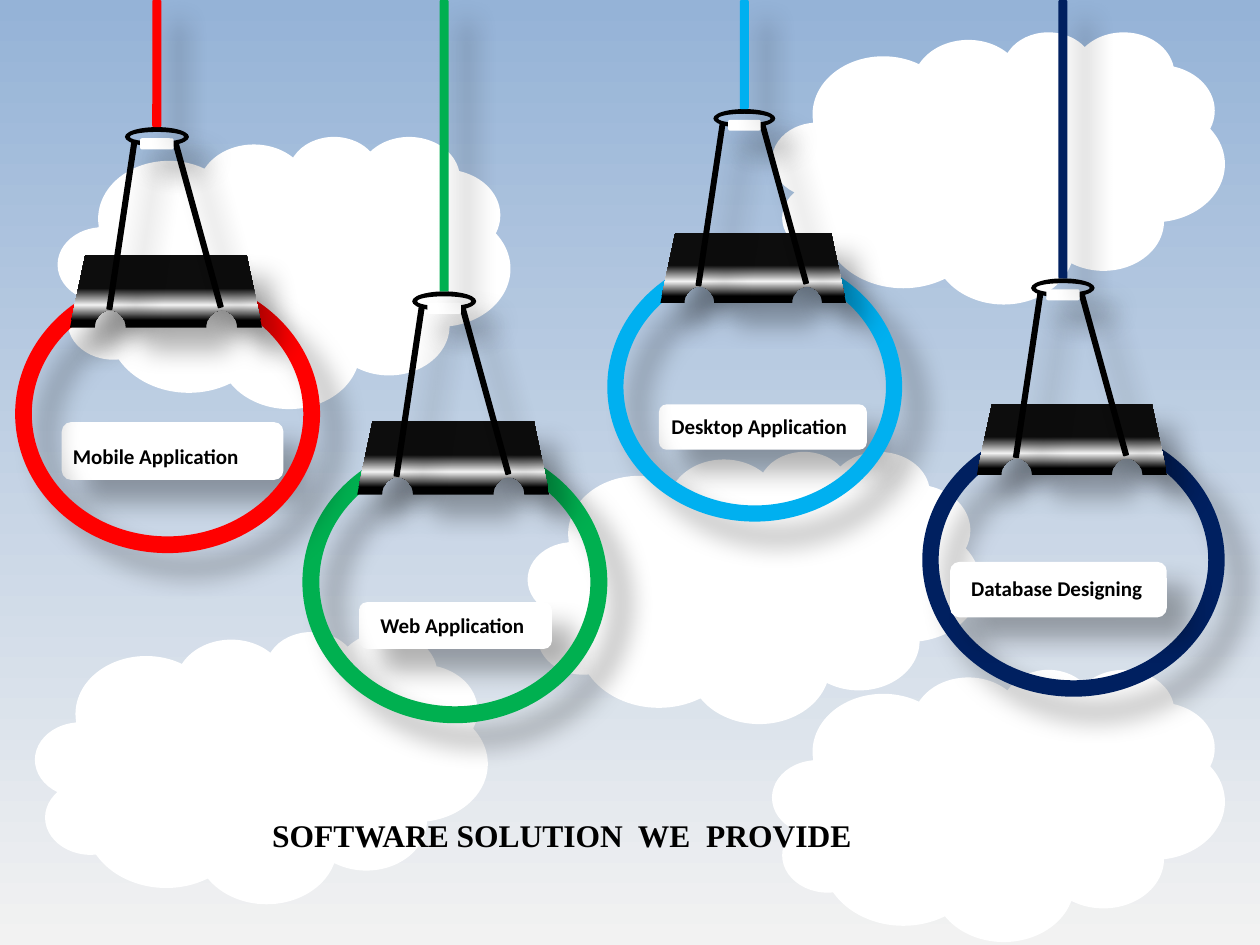
import math

import lxml.etree
import pptx
import pptx.dml.color
import pptx.enum.shapes
import pptx.enum.text
import pptx.oxml.ns
import pptx.util

SHAPE = pptx.enum.shapes.MSO_SHAPE
WIDTH, HEIGHT = pptx.util.Inches(10), pptx.util.Inches(7.5)
COLS, ROWS = 100, 75
COLORS = {
    "white": "FFFFFF", "black": "000000", "soot": "0D0D0D", "mist": "F2F2F2",
    "sky": "95B3D7", "red": "FF0000", "green": "00B050", "blue": "00B0F0",
    "navy": "002060",
}
CLOUD_SIZE = (35.9, 21.6)
CLOUDS = [(4.6, 10.8), (61.3, 2.5), (41.9, 35.8), (2.8, 50.1), (61.3, 53.1)]
HANGERS = [
    {"text": "Web Application", "color": "green", "ring": (24, 35, 24.2, 22.4),
     "plate": (28.5, 47.8, 15.3, 3.7), "label": (29.2, 48.1, 17.1, 5)},
    {"text": "Desktop Application", "color": "blue", "ring": (48.2, 20, 23.4, 21.4),
     "plate": (52.3, 32.1, 16.5, 3.6), "label": (52.3, 32.3, 22.9, 4.8)},
    {"text": "Database Designing", "color": "navy", "ring": (73.2, 33.6, 24, 21.7),
     "plate": (75.4, 44.6, 17.2, 4.4), "label": (76.1, 45.2, 24.9, 4.8),
     "plate_in_front": True},
    {"text": "Mobile Application", "color": "red", "ring": (1.2, 21.8, 24.2, 22.1),
     "plate": (4.9, 33.5, 17.6, 4.6), "label": (4.8, 34.7, 21.6, 5.9)},
]


def place(box):
    """Turn a box in grid columns and rows into slide lengths."""
    x, y, w, h = box
    return [int(v) for v in (x * WIDTH / COLS, y * HEIGHT / ROWS,
                             w * WIDTH / COLS, h * HEIGHT / ROWS)]


def within(ring, x, y, w, h):
    """Give the box at shares of a ring's size."""
    left, top, width, height = ring
    return left + x * width, top + y * height, w * width, h * height


def rgb(name):
    """Look up a named colour."""
    return pptx.dml.color.RGBColor.from_string(COLORS[name])


def add_xml(parent, tag, **attributes):
    """Append a child element with attributes."""
    child = lxml.etree.SubElement(parent, pptx.oxml.ns.qn(tag))
    for key, value in attributes.items():
        child.set(key, str(value))
    return child


def set_gradient(fill, element, stops):
    """Fill with colour stops running from bottom to top."""
    fill.gradient()
    fill.gradient_angle = 90
    stop_list = next(element.iter(pptx.oxml.ns.qn("a:gsLst")))
    for stop in list(stop_list):
        stop_list.remove(stop)
    for share, name in stops:
        stop = add_xml(stop_list, "a:gs", pos=share * 1000)
        add_xml(stop, "a:srgbClr", val=COLORS[name])


def add_shadow(sp):
    """Cast a soft shadow to the lower right."""
    sp.shadow.inherit = False
    effects = next(sp.element.iter(pptx.oxml.ns.qn("a:effectLst")))
    shadow = add_xml(effects, "a:outerShdw", blurRad=pptx.util.Pt(15),
                     dist=pptx.util.Pt(18), dir=45 * 60000, algn="ctr",
                     rotWithShape=0)
    color = add_xml(shadow, "a:srgbClr", val=COLORS["black"])
    add_xml(color, "a:alpha", val=30000)


def add_shape(shapes, kind, box, color, rotation=0, adjust=None, shadow=True):
    """Add a plain filled preset shape."""
    sp = shapes.add_shape(kind, *place(box))
    sp.fill.solid()
    sp.fill.fore_color.rgb = rgb(color)
    sp.line.fill.background()
    sp.rotation = rotation
    if adjust is not None:
        sp.adjustments[0] = adjust
    if shadow:
        add_shadow(sp)
    else:
        sp.shadow.inherit = False
    return sp


def write_text(sp, text, size=12, font="Calibri", color="black", wrap=True):
    """Write one bold left-aligned line into a shape."""
    tf = sp.text_frame
    tf.word_wrap = wrap
    tf.vertical_anchor = pptx.enum.text.MSO_ANCHOR.TOP
    p = tf.paragraphs[0]
    p.alignment = pptx.enum.text.PP_ALIGN.LEFT
    r = p.add_run()
    r.text = text
    r.font.size, r.font.name, r.font.bold = pptx.util.Pt(size), font, True
    r.font.color.rgb = rgb(color)


def add_clip(shapes, box):
    """Add the clip body with two round notches in its lower edge."""
    left, top, width, height = place(box)
    outline = [(0.92, 0), (1, 1)]
    for center in (0.79, 0.21):
        for degrees in range(0, 181, 10):
            angle = math.radians(degrees)
            outline.append((center + 0.08 * math.cos(angle), 1 - 0.24 * math.sin(angle)))
    outline.append((0, 1))
    points = [(left + x * width, top + y * height) for x, y in outline]
    builder = shapes.build_freeform(int(left + 0.08 * width), top)
    builder.add_line_segments(points, close=True)
    sp = builder.convert_to_shape()
    set_gradient(sp.fill, sp.element, [(10, "black"), (31, "mist"), (54, "soot")])
    sp.line.fill.background()
    add_shadow(sp)


def add_hanger(slide, text, color, ring, plate, label, plate_in_front=False):
    """Add a ring hanging from a clip and rope, with its name plate."""
    if not plate_in_front:
        add_shape(slide.shapes, SHAPE.ROUNDED_RECTANGLE, plate, "white")
    shapes = slide.shapes.add_group_shape().shapes
    bar = SHAPE.ROUNDED_RECTANGLE
    add_shape(shapes, SHAPE.DONUT, ring, color, adjust=0.06)
    add_clip(shapes, within(ring, 0.18, -0.07, 0.63, 0.26))
    add_shape(shapes, SHAPE.DONUT, within(ring, 0.36, -0.53, 0.21, 0.07), "black")
    add_shape(shapes, bar, within(ring, 0.34, -0.48, 0.02, 0.61), "black", rotation=8.5)
    add_shape(shapes, bar, within(ring, 0.59, -0.49, 0.02, 0.62), "black", rotation=344.6)
    add_shape(shapes, bar, within(ring, 0.41, -0.49, 0.11, 0.04), "white")
    x, y, w, _ = within(ring, 0.45, -0.53, 0.03, 0)
    add_shape(shapes, bar, (x, 0, w, y), color)
    if plate_in_front:
        add_shape(slide.shapes, bar, plate, "white")
    write_text(slide.shapes.add_textbox(*place(label)), text)


def add_title(slide, text, box):
    """Move the title in front of the clouds and write it."""
    title = slide.shapes.title
    title.left, title.top, title.width, title.height = place(box)
    title.element.getparent().append(title.element)
    write_text(title, text, size=18, font="Times New Roman", wrap=False)


def main():
    """Build the slide and save it."""
    prs = pptx.Presentation()
    prs.slide_width, prs.slide_height = WIDTH, HEIGHT
    slide = prs.slides.add_slide(prs.slide_layouts[5])
    set_gradient(slide.background.fill, slide.element, [(0, "mist"), (100, "sky")])
    for corner in CLOUDS:
        add_shape(slide.shapes, SHAPE.CLOUD, corner + CLOUD_SIZE, "white", shadow=False)
    add_title(slide, "SOFTWARE SOLUTION  WE  PROVIDE", (20.6, 64.3, 48.5, 4))
    for hanger in HANGERS:
        add_hanger(slide, **hanger)
    prs.save("out.pptx")


if __name__ == "__main__":
    main()
